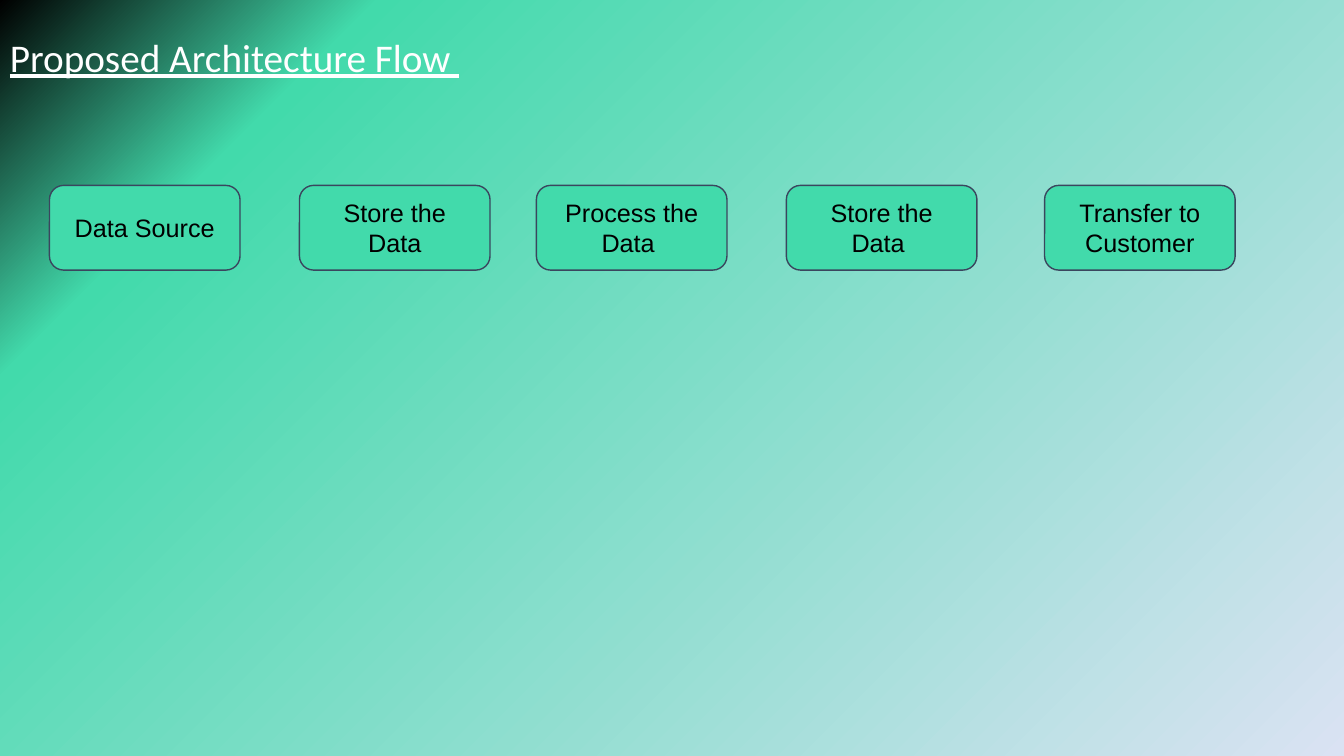
from copy import deepcopy
from dataclasses import dataclass

from pptx import Presentation
from pptx.dml.color import RGBColor
from pptx.enum.shapes import MSO_SHAPE as Shape
from pptx.enum.text import MSO_ANCHOR as Anchor, MSO_AUTO_SIZE as AutoSize, PP_ALIGN as Align
from pptx.oxml.ns import qn
from pptx.slide import Slide
from pptx.text.text import TextFrame
from pptx.util import Inches, Length, Pt

SLIDE_WIDTH, SLIDE_HEIGHT = Inches(13.33), Inches(7.5)
GREEN, SLATE, BLACK, WHITE, LAVENDER = "42DAAB", "3A465E", "000000", "FFFFFF", "DAE2F3"
BACKGROUND_STOPS = [(0, BLACK), (0.18, GREEN), (1, LAVENDER)]
STEP_TOP, STEP_WIDTH, STEP_HEIGHT = 24.53, 14.18, 11.2


@dataclass(frozen=True)
class Step:
    """A stage of the flow, its left edge in percent of the slide width."""

    left: float
    label: str


STEPS = [
    Step(3.68, "Data Source"),
    Step(22.28, "Store the Data"),
    Step(39.91, "Process the Data "),
    Step(58.51, "Store the Data "),
    Step(77.72, "Transfer to Customer"),
]


def color(value: str) -> RGBColor:
    """Turn a hex string into a colour."""
    return RGBColor.from_string(value)


def area(left: float, top: float, width: float, height: float) -> tuple[Length, ...]:
    """Turn percentages of the slide's size into lengths."""
    shares = (left, SLIDE_WIDTH), (top, SLIDE_HEIGHT), (width, SLIDE_WIDTH), (height, SLIDE_HEIGHT)
    return tuple(Length(round(total * percent / 100)) for percent, total in shares)


def write(frame: TextFrame, text: str, font_name: str, size: int, text_color: str) -> None:
    """Fill a frame with one formatted paragraph."""
    frame.text = text
    frame.word_wrap = True
    font = frame.paragraphs[0].runs[0].font
    font.name, font.size = font_name, Pt(size)
    font.color.rgb = color(text_color)


def paint_background(slide: Slide) -> None:
    """Give the slide a diagonal gradient of three colours."""
    fill = slide.background.fill
    fill.gradient()
    fill.gradient_angle = 315
    stop_list = next(slide.element.iter(qn("a:gsLst")))
    stop_list.append(deepcopy(stop_list[-1]))
    for stop, (position, stop_color) in zip(fill.gradient_stops, BACKGROUND_STOPS):
        stop.position = position
        stop.color.rgb = color(stop_color)


def add_title(slide: Slide, text: str) -> None:
    """Write the underlined heading."""
    frame = slide.shapes.add_textbox(*area(0, 3.73, 41.56, 7.6)).text_frame
    write(frame, text, "Calibri", 28, WHITE)
    frame.auto_size = AutoSize.SHAPE_TO_FIT_TEXT
    frame.paragraphs[0].runs[0].font.underline = True


def add_step(slide: Slide, step: Step) -> None:
    """Draw one stage as a rounded box."""
    shape = slide.shapes.add_shape(
        Shape.ROUNDED_RECTANGLE, *area(step.left, STEP_TOP, STEP_WIDTH, STEP_HEIGHT)
    )
    shape.shadow.inherit = False
    shape.fill.solid()
    shape.fill.fore_color.rgb = color(GREEN)
    shape.line.color.rgb = color(SLATE)
    shape.line.width = Pt(1)
    frame = shape.text_frame
    write(frame, step.label, "Arial", 18, BLACK)
    frame.vertical_anchor = Anchor.MIDDLE
    frame.paragraphs[0].alignment = Align.CENTER


def main() -> None:
    """Build and save the slide."""
    presentation = Presentation()
    presentation.slide_width, presentation.slide_height = SLIDE_WIDTH, SLIDE_HEIGHT
    slide = presentation.slides.add_slide(presentation.slide_layouts[6])
    paint_background(slide)
    add_title(slide, "Proposed Architecture Flow ")
    for step in STEPS:
        add_step(slide, step)
    presentation.save("out.pptx")


if __name__ == "__main__":
    main()
